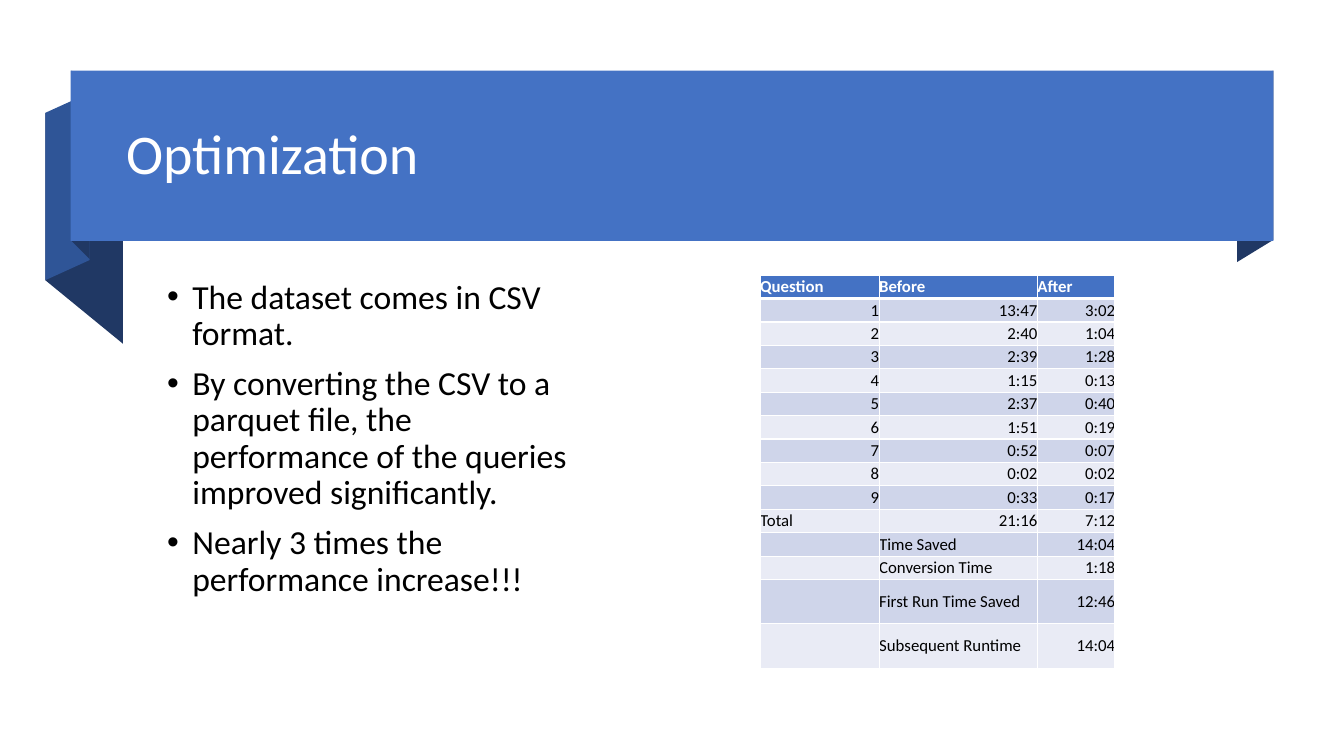
import pptx
import pptx.util
import pptx.dml.color
import pptx.enum.shapes
import pptx.enum.text
import pptx.oxml.ns
from lxml import etree

Inches, Pt = pptx.util.Inches, pptx.util.Pt
RGB = pptx.dml.color.RGBColor.from_string
qn = pptx.oxml.ns.qn
ALIGN = pptx.enum.text.PP_ALIGN
MIDDLE = pptx.enum.text.MSO_ANCHOR.MIDDLE

THEME = {
    "font": "Calibri",
    "blue": "4472C4", "mid": "2F5597", "navy": "203864",
    "bands": ["E9EBF5", "CFD5EA"],
    "white": "FFFFFF", "black": "000000",
    "title": 40, "body": 24, "cell": 12,
}


def style(p, text, size, color, bold=False):
    r = p.add_run()
    r.text = text
    formats = {"name": THEME["font"], "size": Pt(size), "bold": bold}
    for key, value in formats.items():
        setattr(r.font, key, value)
    r.font.color.rgb = RGB(THEME[color])


def paint(sp, color):
    sp.fill.solid()
    sp.fill.fore_color.rgb = RGB(THEME[color])
    sp.line.fill.background()
    sp.shadow.inherit = False


prs = pptx.Presentation()
prs.slide_width, prs.slide_height = Inches(13.33), Inches(7.5)
s = prs.slides.add_slide(prs.slide_layouts[5])

# Ribbon folds, then the banner over them
folds = [
    ("navy", [(12.63, 2.38), (12.27, 2.6), (12.27, 0.91), (12.63, 0.7)]),
    ("navy", [(1.22, 3.41), (0.45, 2.78), (0.45, 1.12), (1.22, 1.75)]),
    ("mid", [(0.89, 2.58), (0.45, 2.78), (0.45, 1.12), (0.89, 0.92)]),
    ("navy", [(0.89, 2.57), (0.71, 2.39), (0.71, 0.7), (0.89, 0.89)]),
]
for color, corners in folds:
    points = [(Inches(x), Inches(y)) for x, y in corners]
    fb = s.shapes.build_freeform(*points[0])
    fb.add_line_segments(points[1:], close=True)
    paint(fb.convert_to_shape(), color)
banner = s.shapes.add_shape(pptx.enum.shapes.MSO_SHAPE.RECTANGLE,
                            Inches(0.7), Inches(0.7), Inches(11.93), Inches(1.69))
paint(banner, "blue")

# Title, brought in front of the banner
title = s.shapes.title
title.element.getparent().append(title.element)
box = {"left": 1.15, "top": 0.83, "width": 11.27, "height": 1.45}
for key, value in box.items():
    setattr(title, key, Inches(value))
tf = title.text_frame
tf.auto_size = pptx.enum.text.MSO_AUTO_SIZE.NONE
tf.vertical_anchor = MIDDLE
p = tf.paragraphs[0]
p.alignment, p.line_spacing = ALIGN.LEFT, 0.9
style(p, "Optimization", THEME["title"], "white")

# Bullets
bullets = [
    "The dataset comes in CSV format.",
    "By converting the CSV to a parquet file, the performance of the queries improved significantly.",
    "Nearly 3 times the performance increase!!!",
]
tf = s.shapes.add_textbox(Inches(1.56), Inches(2.73), Inches(4.43), Inches(3.9)).text_frame
tf.word_wrap = True
for i, text in enumerate(bullets):
    p = tf.paragraphs[0] if i == 0 else tf.add_paragraph()
    pPr = p._p.get_or_add_pPr()
    pPr.set("marL", str(Inches(0.25)))
    pPr.set("indent", str(-Inches(0.25)))
    etree.SubElement(pPr, qn("a:buFont"), typeface="Arial")
    etree.SubElement(pPr, qn("a:buChar"), char="•")
    p.line_spacing, p.space_before = 0.9, Pt(10 if i else 0)
    style(p, text, THEME["body"], "black")

# Timing table
rows = [
    ("Question", "Before", "After"),
    ("1", "13:47", "3:02"),
    ("2", "2:40", "1:04"),
    ("3", "2:39", "1:28"),
    ("4", "1:15", "0:13"),
    ("5", "2:37", "0:40"),
    ("6", "1:51", "0:19"),
    ("7", "0:52", "0:07"),
    ("8", "0:02", "0:02"),
    ("9", "0:33", "0:17"),
    ("Total", "21:16", "7:12"),
    ("", "Time Saved", "14:04"),
    ("", "Conversion Time", "1:18"),
    ("", "First Run Time Saved", "12:46"),
    ("", "Subsequent Runtime", "14:04"),
]
height, tall = 3.9, 0.44
short = (height - 2 * tall) / (len(rows) - 2)
table = s.shapes.add_table(len(rows), 3, Inches(7.54), Inches(2.73),
                           Inches(3.52), Inches(height)).table
for col, width in zip(table.columns, (1.18, 1.57, 0.77)):
    col.width = Inches(width)
for i, values in enumerate(rows):
    table.rows[i].height = Inches(tall if i >= len(rows) - 2 else short)
    for j, text in enumerate(values):
        cell = table.cell(i, j)
        for side in ("left", "right", "top", "bottom"):
            setattr(cell, "margin_" + side, 0)
        cell.vertical_anchor = MIDDLE
        cell.fill.solid()
        cell.fill.fore_color.rgb = RGB(THEME["bands"][i % 2] if i else THEME["blue"])
        p = cell.text_frame.paragraphs[0]
        p.alignment = ALIGN.RIGHT if text[:1].isdigit() else ALIGN.LEFT
        if text:
            style(p, text, THEME["cell"], "black" if i else "white", bold=i == 0)
        else:
            etree.SubElement(p._p, qn("a:endParaRPr"), sz=str(THEME["cell"] * 100))
        # White borders, heavier under the header
        tcPr = cell._tc.get_or_add_tcPr()
        for k, edge in enumerate(("lnL", "lnR", "lnT", "lnB")):
            heavy = (i, edge) in ((0, "lnB"), (1, "lnT"))
            ln = etree.Element(qn("a:" + edge), w=str(Pt(3 if heavy else 1)))
            fill = etree.SubElement(ln, qn("a:solidFill"))
            etree.SubElement(fill, qn("a:srgbClr"), val=THEME["white"])
            tcPr.insert(k, ln)

prs.save("out.pptx")
